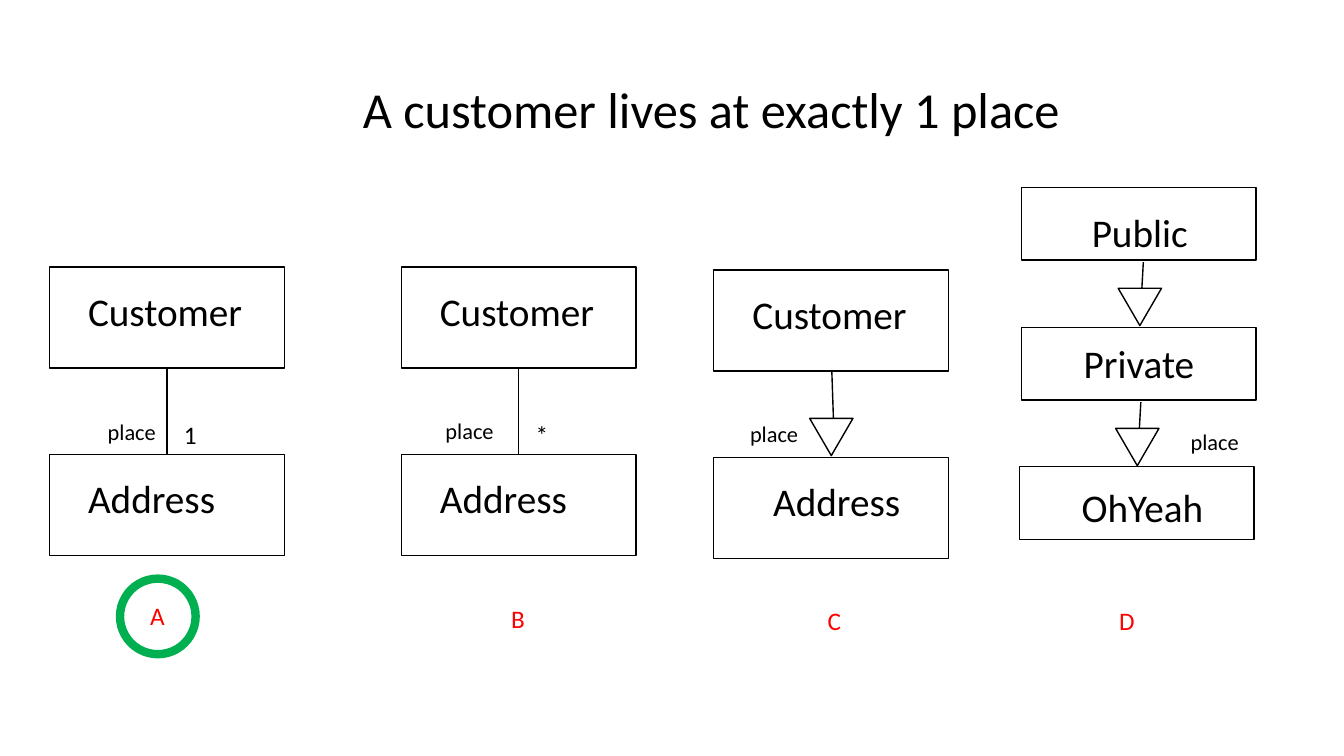
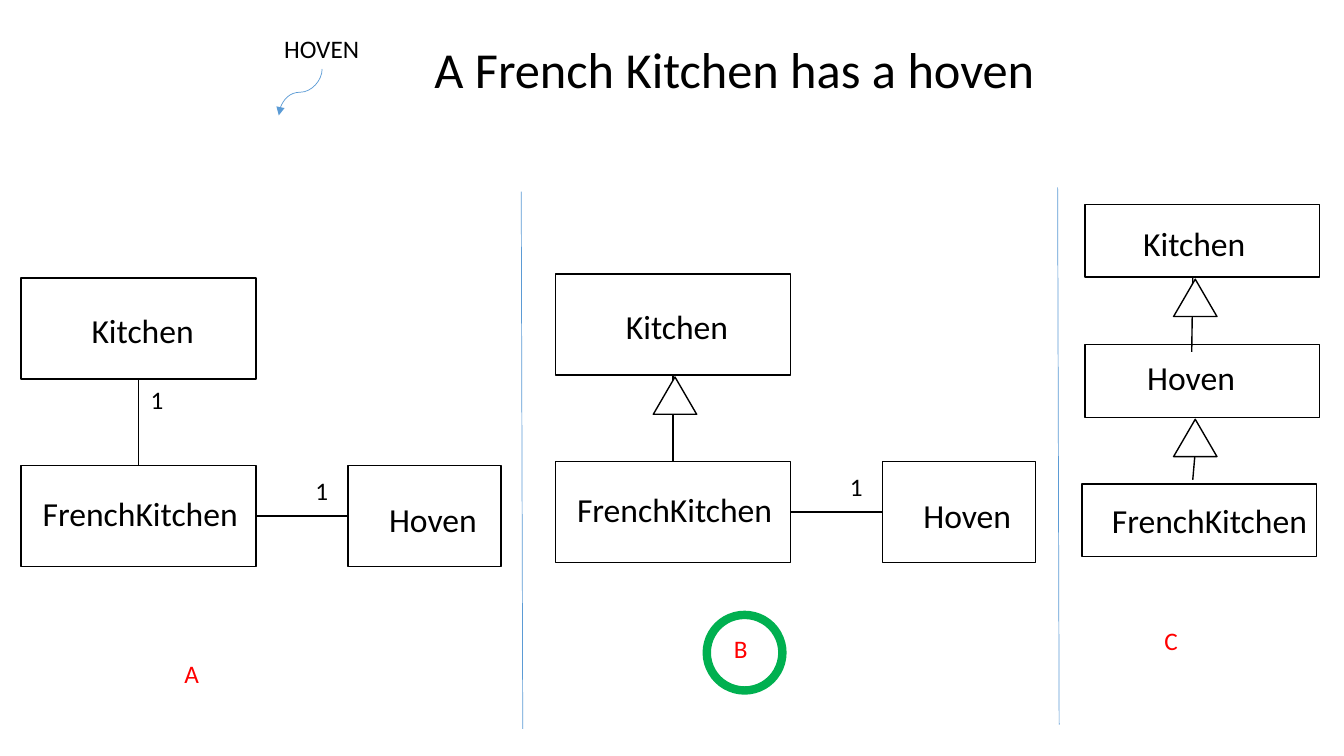
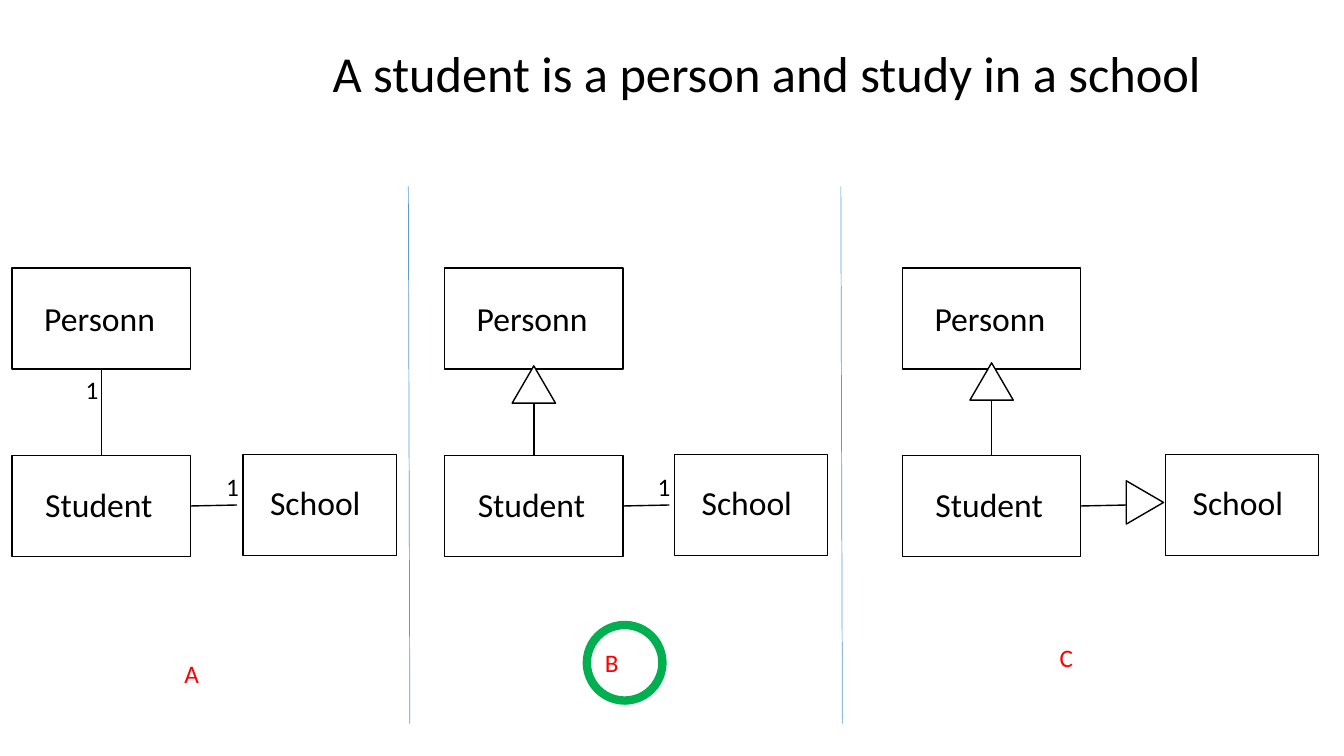
from lxml import etree
from pptx import Presentation
from pptx.dml.color import RGBColor
from pptx.enum.shapes import MSO_CONNECTOR, MSO_SHAPE
from pptx.enum.text import MSO_AUTO_SIZE
from pptx.oxml.ns import qn
from pptx.util import Emu, Inches, Pt

STRAIGHT, CURVE = MSO_CONNECTOR.STRAIGHT, MSO_CONNECTOR.CURVE
RECTANGLE, OVAL, TRIANGLE = MSO_SHAPE.RECTANGLE, MSO_SHAPE.OVAL, MSO_SHAPE.ISOSCELES_TRIANGLE
FIT_SHAPE = MSO_AUTO_SIZE.SHAPE_TO_FIT_TEXT

COLORS = {"ink": "000000", "option": "FF0000", "answer": "00B050",
          "divider": "5B9BD5", "paper": "FFFFFF"}
FONT = "Calibri"
BOX_HEIGHT, FLAT_HEIGHT, WIDE = 10, 7.2, 23.3
TRIANGLE_SIZE, RING_SIZE = (4.3, 3.7), 7.5
UP, RIGHT, DOWN = 0, 90, 180

# Font size in points: height of a one-line text box in rows
LINE_HEIGHTS = {36: 7.1, 28: 5.7, 24: 5, 18: 4, 16: 3.7}
NAME_WIDTHS = {"Customer": 18.4, "Address": 14.8, "Public": 12.1, "Private": 13.1,
               "OhYeah": 14.2, "Kitchen": 12.3, "FrenchKitchen": 21.6, "Hoven": 10.8,
               "Personn": 13.1, "Student": 12.8, "School": 11.1}


def grid(*cells):
    """Turn columns or rows of a tenth of an inch into slide lengths."""
    return [Emu(round(Inches(0.1) * cell)) for cell in cells]


def rgb(name):
    return RGBColor.from_string(COLORS[name])


def assign(target, values):
    for name, value in values.items():
        setattr(target, name, value)


class Quiz:
    """Draws class diagrams on the current slide; positions are grid cells."""

    def __init__(self, name_size=24):
        self.presentation = Presentation()
        assign(self.presentation, {"slide_width": Inches(13.33), "slide_height": Inches(7.5)})
        self.name_size = name_size
        self.slide = None

    def new_slide(self, title, left, top, width, name_size, indent=0):
        layout = self.presentation.slide_layouts[6]
        self.slide = self.presentation.slides.add_slide(layout)
        self.name_size = name_size
        self.text(title, left, top, width, 36, indent=indent)

    def text(self, words, left, top, width, size=18, color="ink", indent=0):
        box = self.slide.shapes.add_textbox(*grid(left, top, width, LINE_HEIGHTS[size]))
        assign(box.text_frame, {"word_wrap": False, "auto_size": FIT_SHAPE})
        paragraph = box.text_frame.paragraphs[0]
        if indent:
            paragraph._p.get_or_add_pPr().set("marL", str(grid(indent)[0]))
        run = paragraph.add_run()
        run.text = words
        assign(run.font, {"name": FONT, "size": Pt(size)})
        run.font.color.rgb = rgb(color)

    def shape(self, kind, left, top, width, height, fill=None, line="ink", weight=1):
        shape = self.slide.shapes.add_shape(kind, *grid(left, top, width, height))
        shape.shadow.inherit = False
        if fill:
            shape.fill.solid()
            shape.fill.fore_color.rgb = rgb(fill)
        else:
            shape.fill.background()
        shape.line.color.rgb = rgb(line)
        shape.line.width = Pt(weight)
        return shape

    def class_box(self, name, left, top, shift, width=WIDE, height=BOX_HEIGHT):
        """Draw a class; shift is the way from the box corner to its name."""
        self.text(name, left + shift[0], top + shift[1], NAME_WIDTHS[name], self.name_size)
        self.shape(RECTANGLE, left, top, width, height)

    def line(self, start, end, color="ink", weight=1, kind=STRAIGHT):
        connector = self.slide.shapes.add_connector(kind, *grid(*start, *end))
        connector.line.color.rgb = rgb(color)
        connector.line.width = Pt(weight)
        etree.SubElement(connector._element.spPr, qn("a:effectLst"))
        return connector

    def curved_arrow(self, start, end):
        """Draw a curved arrow between two corners, then turn it a quarter."""
        connector = self.line(start, end, "divider", 0.5, CURVE)
        properties = connector._element.spPr
        properties.find(qn("a:xfrm")).set("rot", str(90 * 60000))
        etree.SubElement(properties.find(qn("a:ln")), qn("a:tailEnd"), type="triangle")

    def divider(self, left, top):
        self.line((left, top), (left + 0.15, top + 53.3), "divider", 0.5)

    def inheritance(self, start, end, left, top, direction=UP):
        """Draw a line with a hollow triangle whose corner is at left, top."""
        self.line(start, end)
        self.shape(TRIANGLE, left, top, *TRIANGLE_SIZE, fill="paper").rotation = direction

    def options(self, places, ring):
        """Write the answer letters and ring the right one."""
        for letter, (left, top) in zip("ABCD", places):
            self.text(letter, left, top, 3.5, color="option")
        self.shape(OVAL, *ring, RING_SIZE, RING_SIZE, line="answer", weight=6)


def customer_slide(quiz):
    quiz.new_slide("A customer lives at exactly 1 place", 30, 7.3, 76.9, 28, indent=5)
    for left, top, address_shift, count in ((4.9, 26.5, 2.85, "1"), (39.8, 26.5, 2.85, "*"),
                                            (70.8, 26.8, 4.9, None)):
        quiz.class_box("Customer", left, top, (2.85, 1.5))
        quiz.class_box("Address", left, top + 18.6, (address_shift, 1.5))
        middle = left + WIDE / 2
        if count:
            quiz.line((middle, top + 18.6), (middle, top + BOX_HEIGHT))
            quiz.text(count, middle + 0.7, top + 14.6, 3.3)
        else:
            quiz.inheritance((82.7, 42.6), (82.5, 36.8), 80.3, 41.5, DOWN)
    for name, left, top, shift in (("Public", 101.3, 18.6, (6, 1.6)),
                                   ("Private", 101.3, 32.5, (5.2, 0.7)),
                                   ("OhYeah", 101.1, 46.3, (5.2, 1.2))):
        quiz.class_box(name, left, top, shift, height=FLAT_HEIGHT)
    for left, top in ((110.9, 28.6), (110.65, 42.5)):
        quiz.inheritance((left + 2.3, top + 1), (left + 2.5, top - 2.6), left, top, DOWN)
    for left, top in ((9.7, 41), (43.2, 40.9), (73.4, 41.2), (117.1, 42)):
        quiz.text("place", left, top, 6.8, 16)
    quiz.options(((13.9, 59.1), (49.7, 59.4), (81.1, 59.6), (110, 59.6)), (11.9, 57.4))


def kitchen_slide(quiz):
    quiz.new_slide("A French Kitchen has a hoven", 42.1, 3.3, 62.1, 24)
    for left, top, inherits in ((2.1, 27.6, False), (55.1, 27.2, True)):
        lower, middle, right = top + 18.6, left + WIDE / 2, left + WIDE
        quiz.class_box("Kitchen", left, top, (6, 2.7))
        quiz.class_box("FrenchKitchen", left, lower, (1.15, 2.2))
        quiz.class_box("Hoven", left + 32.4, lower, (3.1, 2.8), 15.2)
        quiz.line((right, lower + 5), (left + 32.4, lower + 5))
        quiz.text("1", left + 28.2, lower + 0.5, 3.3)
        ends = (middle, lower), (middle, top + BOX_HEIGHT)
        if inherits:
            quiz.inheritance(*ends, left + 9.7, top + 10.2)
        else:
            quiz.line(*ends)
            quiz.text("1", middle + 0.2, top + BOX_HEIGHT, 3.3)
    for name, left, top, shift in (("Kitchen", 107.6, 20.3, (4.8, 1.3)),
                                   ("Hoven", 107.6, 34.2, (5.2, 0.7)),
                                   ("FrenchKitchen", 107.3, 48, (2, 1.1))):
        quiz.class_box(name, left, top, shift, height=FLAT_HEIGHT)
    quiz.inheritance((118.2, 34.9), (118.3, 27.6), 116.4, 27.7)
    quiz.inheritance((118.3, 47.6), (118.5, 45.3), 116.4, 41.6)
    quiz.divider(51.7, 19)
    quiz.divider(104.9, 18.6)
    quiz.text("HOVEN", 27.2, 2.8, 9.5)
    quiz.curved_arrow((27.5, 7), (32.1, 11.3))
    quiz.options(((17.3, 64.8), (71.8, 62.3), (114.5, 61.5)), (70.1, 61))


def student_slide(quiz):
    quiz.new_slide("A student is a person and study in a school", 32, 3.7, 90.1, 24)
    width = 17.7
    for left, school, triangle_top in ((1.2, 24.1, None), (44.1, 66.9, 36.3),
                                       (89.5, 115.6, 36)):
        middle, right = left + width / 2, left + width
        quiz.class_box("Personn", left, 26.6, (2.2, 2.5), width)
        quiz.class_box("Student", left, 45.2, (2.3, 2.3), width)
        quiz.class_box("School", school, 45.1, (1.7, 2.2), 15.2)
        ends = (middle, 45.2), (middle, 36.6)
        if triangle_top:
            quiz.inheritance(*ends, left + 6.7, triangle_top)
        else:
            quiz.line(*ends)
            quiz.text("1", 7.5, 36.6, 3.3)
        ends = (right, 50.2), (right + 4.6, 50.1)
        if school > 100:
            quiz.inheritance(*ends, 111.4, 48, RIGHT)
        else:
            quiz.line(*ends)
            quiz.text("1", school - 2.65, 46.3, 3.3)
    for left in (40.5, 83.4):
        quiz.divider(left, 18.5)
    quiz.options(((17.3, 64.8), (59, 63.7), (104.1, 63.2)), (58.2, 62))


def main():
    quiz = Quiz()
    customer_slide(quiz)
    kitchen_slide(quiz)
    student_slide(quiz)
    quiz.presentation.save("out.pptx")


if __name__ == "__main__":
    main()
